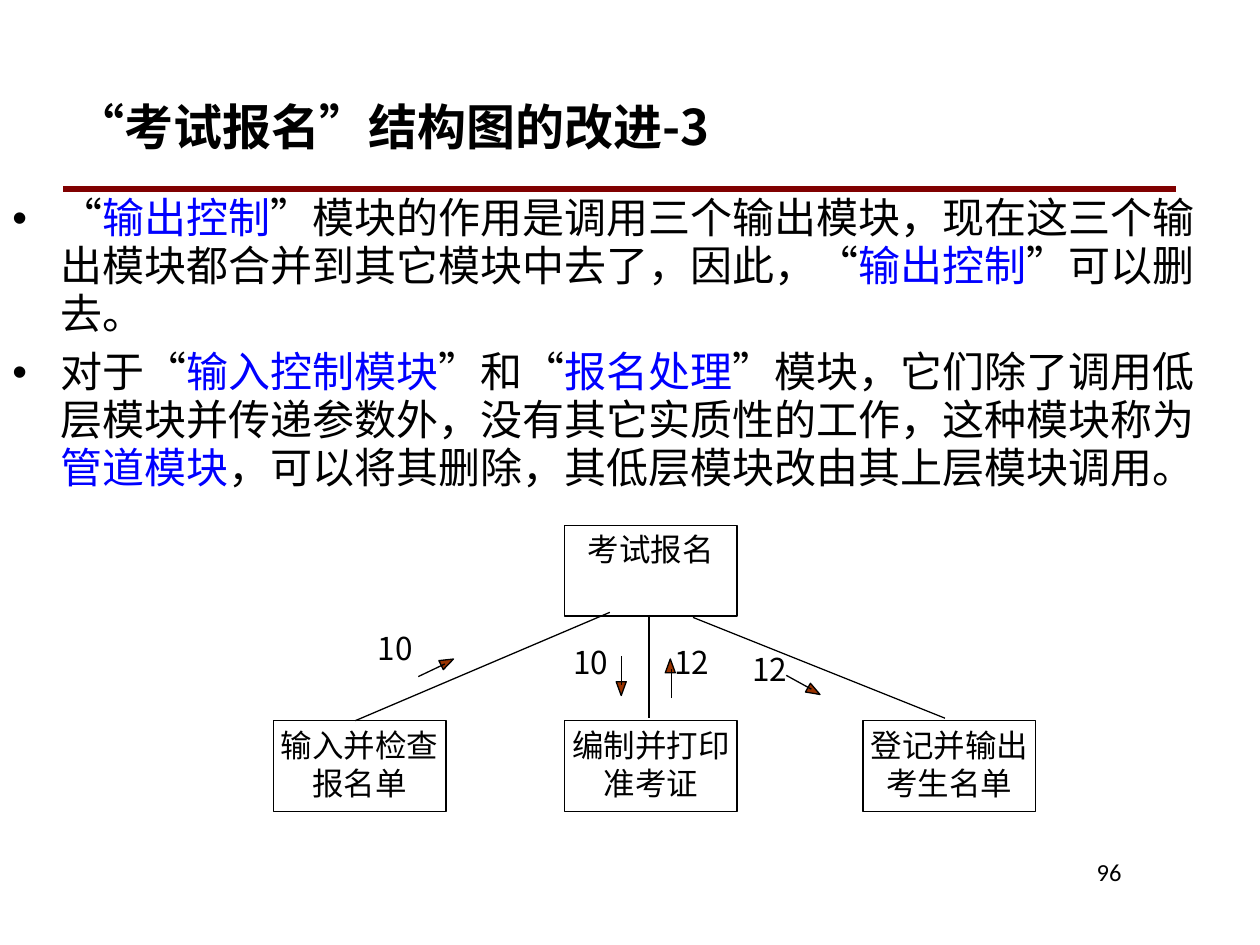
from lxml import etree
from pptx import Presentation
from pptx.dml.color import RGBColor
from pptx.enum.shapes import MSO_CONNECTOR, MSO_SHAPE
from pptx.enum.text import MSO_ANCHOR, PP_ALIGN
from pptx.oxml.ns import qn
from pptx.util import Inches, Pt

LEFT, CENTER, RIGHT, JUSTIFY = PP_ALIGN.LEFT, PP_ALIGN.CENTER, PP_ALIGN.RIGHT, PP_ALIGN.JUSTIFY
TOP, MIDDLE = MSO_ANCHOR.TOP, MSO_ANCHOR.MIDDLE
STRAIGHT = MSO_CONNECTOR.STRAIGHT
RECTANGLE, TRIANGLE = MSO_SHAPE.RECTANGLE, MSO_SHAPE.ISOSCELES_TRIANGLE

BLACK = RGBColor(0x00, 0x00, 0x00)
BLUE = RGBColor(0x00, 0x00, 0xFF)
MAROON = RGBColor(0x80, 0x00, 0x00)
RUST = RGBColor(0x99, 0x33, 0x00)
SANS, SERIF, NUMBER_FONT = "Noto Sans CJK SC", "Times New Roman", "Calibri"

TITLE = "“考试报名”结构图的改进-3"
PAGE_NUMBER = "96"

# Each point is a list of (text, colour) parts.
POINTS = [
    [("“", BLACK), ("输出控制", BLUE),
     ("”模块的作用是调用三个输出模块，现在这三个输出模块都合并到其它模块中去了，因此，“", BLACK),
     ("输出控制", BLUE), ("”可以删去。", BLACK)],
    [("对于“", BLACK), ("输入控制模块", BLUE), ("”和“", BLACK), ("报名处理", BLUE),
     ("”模块，它们除了调用低层模块并传递参数外，没有其它实质性的工作，这种模块称为", BLACK),
     ("管道模块", BLUE), ("，可以将其删除，其低层模块改由其上层模块调用。", BLACK)],
]

# Modules: left, top, lines of text
MODULE_SIZE = (1.37, 0.72)
MODULES = [
    (4.48, 4.17, ["考试报名"]),
    (2.17, 5.72, ["输入并检查", "报名单"]),
    (4.48, 5.72, ["编制并打印", "准考证"]),
    (6.85, 5.72, ["登记并输出", "考生名单"]),
]
CALLS = [
    ((4.84, 4.86), (2.82, 5.72)),
    ((5.15, 4.88), (5.15, 5.7)),
    ((5.5, 4.9), (7.5, 5.7)),
]

# Data flows: label, label box, tail start, tail end, head corner, head rotation
HEAD_SIZE = (0.08, 0.11)
FLOWS = [
    ("10", (2.96, 4.95, 0.44, 0.58), (3.32, 5.37), (3.53, 5.27), (3.51, 5.2), 64),
    ("10", (4.51, 5.06, 0.55, 0.58), (4.93, 5.21), (4.93, 5.44), (4.89, 5.41), 180),
    ("12", (5.31, 5.06, 0.55, 0.58), (5.33, 5.54), (5.33, 5.31), (5.28, 5.23), 0),
    ("12", (5.93, 5.12, 0.4, 0.58), (6.24, 5.36), (6.44, 5.47), (6.42, 5.43), 119.7),
]


def inches(values):
    return [Inches(value) for value in values]


def write(shape, paragraphs, size, font=SANS, bold=False, align=LEFT,
          anchor=TOP, insets=(0.1, 0.05)):
    """Fill a shape with paragraphs, each a list of (text, colour) parts."""
    frame = shape.text_frame
    side, edge = inches(insets)
    settings = {"word_wrap": True, "vertical_anchor": anchor,
                "margin_left": side, "margin_right": side,
                "margin_top": edge, "margin_bottom": edge}
    for name, value in settings.items():
        setattr(frame, name, value)
    for index, parts in enumerate(paragraphs):
        paragraph = frame.add_paragraph() if index else frame.paragraphs[0]
        paragraph.alignment = align
        for text, color in parts:
            run = paragraph.add_run()
            run.text = text
            for name, value in {"size": Pt(size), "bold": bold, "name": font}.items():
                setattr(run.font, name, value)
            run.font.color.rgb = color
            east_asian = etree.SubElement(run.font._element, qn("a:ea"))
            east_asian.set("typeface", SANS)
    return frame


def add_text(slide, box, paragraphs, size, **formats):
    return write(slide.shapes.add_textbox(*inches(box)), paragraphs, size, **formats)


def add_line(slide, start, end, color=BLACK, width=0.75):
    line = slide.shapes.add_connector(STRAIGHT, *inches(start + end))
    line.line.color.rgb = color
    line.line.width = Pt(width)
    etree.SubElement(line._element.spPr, qn("a:effectLst"))


def add_outlined(slide, kind, box, fill=None):
    shape = slide.shapes.add_shape(kind, *inches(box))
    shape.shadow.inherit = False
    shape.line.color.rgb = BLACK
    shape.line.width = Pt(0.75)
    if fill is None:
        shape.fill.background()
    else:
        shape.fill.solid()
        shape.fill.fore_color.rgb = fill
    return shape


def add_points(slide):
    frame = add_text(slide, (0, 1.5, 9.75, 2.92), POINTS, 24)
    for index, paragraph in enumerate(frame.paragraphs):
        paragraph.line_spacing = 0.95
        if index:
            paragraph.space_before = Pt(6)
        properties = paragraph._p.get_or_add_pPr()
        properties.set("marL", str(Inches(0.38)))
        properties.set("indent", str(Inches(-0.38)))
        bullet_color = etree.SubElement(properties, qn("a:buClr"))
        etree.SubElement(bullet_color, qn("a:srgbClr")).set("val", str(BLACK))
        etree.SubElement(properties, qn("a:buFont")).set("typeface", "Arial")
        etree.SubElement(properties, qn("a:buChar")).set("char", "•")


def add_structure_chart(slide):
    for left, top, lines in MODULES:
        module = add_outlined(slide, RECTANGLE, (left, top, *MODULE_SIZE))
        write(module, [[(line, BLACK)] for line in lines], 18, font=SERIF,
              align=CENTER, insets=(0.02, 0.04))
    for start, end in CALLS:
        add_line(slide, start, end)
    for label, label_box, start, end, corner, rotation in FLOWS:
        add_text(slide, label_box, [[(label, BLACK)]], 18, align=JUSTIFY, insets=(0.04, 0.04))
        head = add_outlined(slide, TRIANGLE, corner + HEAD_SIZE, RUST)
        head.rotation = rotation
        add_line(slide, start, end)


def main():
    deck = Presentation()
    deck.slide_width, deck.slide_height = inches((10, 7.5))
    slide = deck.slides.add_slide(deck.slide_layouts[6])
    add_line(slide, (0.5, 1.5), (9.33, 1.5), MAROON, 3)
    add_text(slide, (0.5, 0.5, 8.83, 1), [[(TITLE, BLACK)]], 28, bold=True, anchor=MIDDLE)
    add_points(slide)
    add_structure_chart(slide)
    add_text(slide, (7.58, 6.75, 1.42, 0.5), [[(PAGE_NUMBER, BLACK)]], 14,
             font=NUMBER_FONT, align=RIGHT)
    deck.save("out.pptx")


if __name__ == "__main__":
    main()
